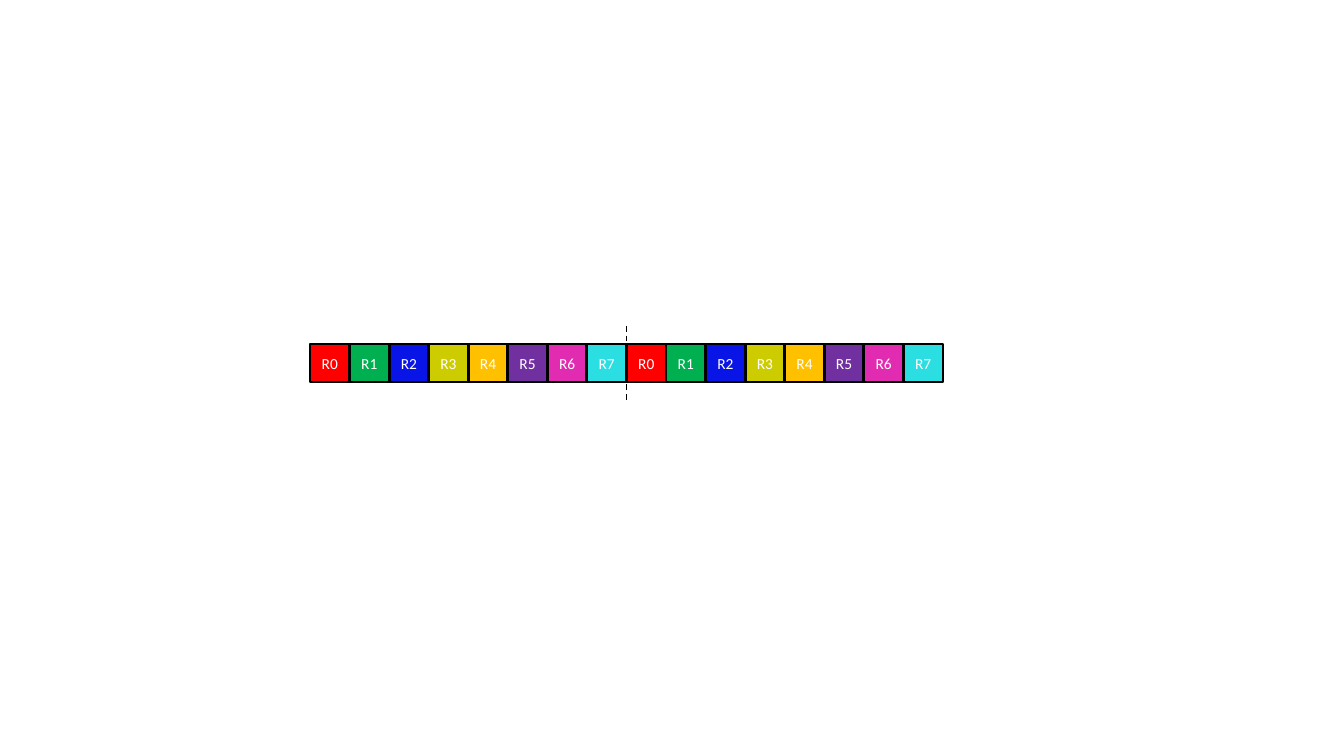
from pptx import Presentation
from pptx.dml.color import RGBColor as RGB
from pptx.enum.dml import MSO_LINE as Dash
from pptx.enum.shapes import MSO_CONNECTOR as Conn, MSO_SHAPE as Kind
from pptx.enum.text import MSO_ANCHOR as Anchor, PP_ALIGN as Align
from pptx.oxml.ns import qn
from pptx.util import Pt
from lxml.etree import SubElement

RANKS = [
    ("R0", "FF0000"), ("R1", "00B050"), ("R2", "0914E7"), ("R3", "CCCC00"),
    ("R4", "FFC000"), ("R5", "7030A0"), ("R6", "E12BB1"), ("R7", "2ADEE2"),
]
ROUNDS = 2

THEME = {
    "ink": RGB.from_string("000000"),
    "text": RGB.from_string("FFFFFF"),
    "font": "Calibri",
    "size": Pt(11),
    "edge": Pt(2),
    "rule": Pt(1),
}

SCALE = 914400 / 100.8
PAGE = (1344, 756)
STRIP = (310, 344, 633, 38)
SPLIT = (326, 400)


def emu(px):
    """Turn pixels into EMU."""
    return round(px * SCALE)


def put(obj, **vals):
    """Set each named attribute of an object."""
    for name, val in vals.items():
        setattr(obj, name, val)


def add_cell(slide, box, label, tint):
    """Draw one rank cell with its centred label."""
    cell = slide.shapes.add_shape(Kind.RECTANGLE, *map(emu, box))
    cell.shadow.inherit = False
    cell.fill.solid()
    cell.fill.fore_color.rgb = RGB.from_string(tint)
    cell.line.color.rgb = THEME["ink"]
    cell.line.width = THEME["edge"]
    frame = cell.text_frame
    put(frame, margin_left=0, margin_right=0, margin_top=0, margin_bottom=0,
        vertical_anchor=Anchor.MIDDLE, word_wrap=True)
    par = frame.paragraphs[0]
    par.alignment = Align.CENTER
    run = par.add_run()
    run.text = label
    put(run.font, name=THEME["font"], size=THEME["size"])
    run.font.color.rgb = THEME["text"]


def add_split(slide, x, top, end):
    """Draw the dashed line between two rounds."""
    rule = slide.shapes.add_connector(
        Conn.STRAIGHT, emu(x), emu(top), emu(x), emu(end))
    rule.line.color.rgb = THEME["ink"]
    put(rule.line, width=THEME["rule"], dash_style=Dash.DASH)
    SubElement(rule._element.spPr, qn("a:effectLst"))


def main():
    """Build and save the slide."""
    deck = Presentation()
    put(deck, slide_width=emu(PAGE[0]), slide_height=emu(PAGE[1]))
    slide = deck.slides.add_slide(deck.slide_layouts[6])
    left, top, width, height = STRIP
    cells = RANKS * ROUNDS
    step = width / len(cells)
    for i, (label, tint) in enumerate(cells):
        add_cell(slide, (left + i * step, top, step, height), label, tint)
    for turn in range(1, ROUNDS):
        add_split(slide, left + turn * len(RANKS) * step, *SPLIT)
    deck.save("out.pptx")


main()
